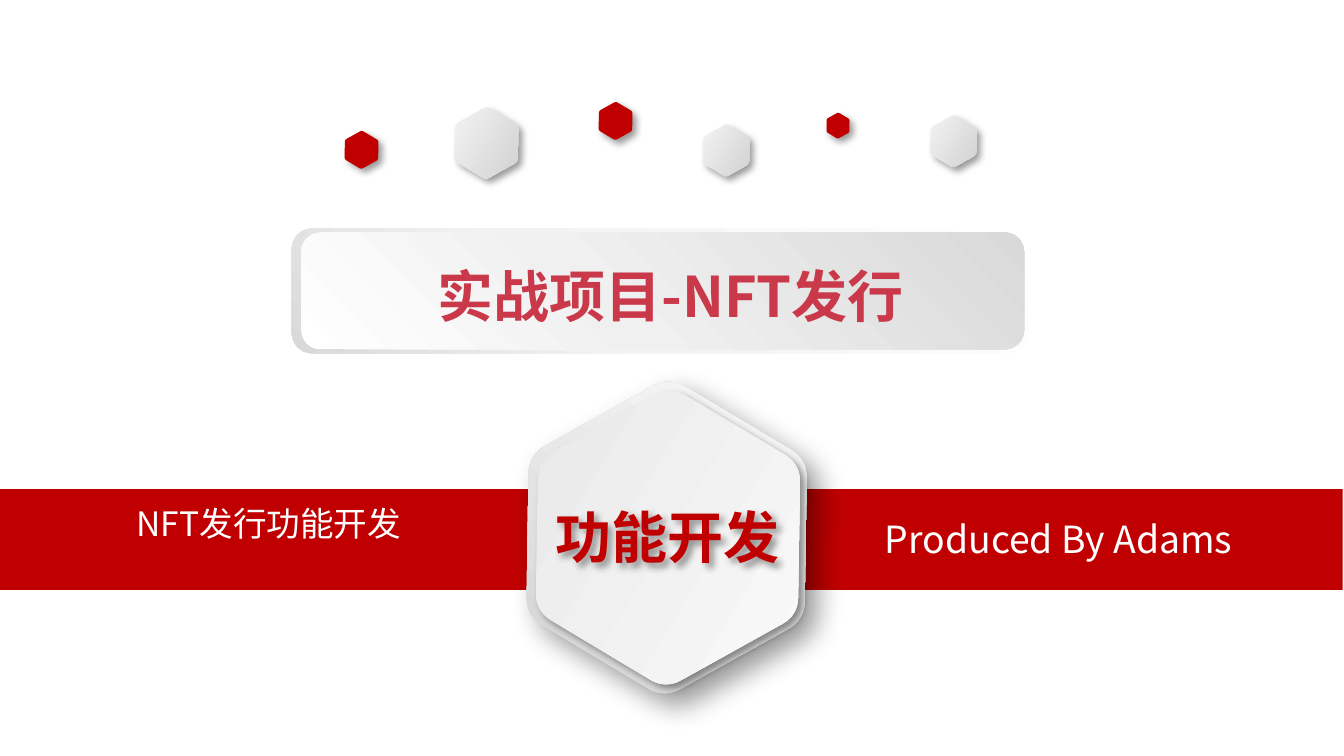
from math import cos, radians, sin
from lxml.etree import SubElement as Sub
from pptx import Presentation
from pptx.dml.color import RGBColor
from pptx.enum.shapes import MSO_SHAPE as Shape
from pptx.enum.text import MSO_ANCHOR as Anchor, PP_ALIGN as Align
from pptx.oxml.ns import qn
from pptx.util import Inches, Pt

WIDE = Inches(10)
HIGH = WIDE * 9 // 16
FONT = "Noto Sans CJK SC"
RED, WHITE, ROSE = "C00000", "FFFFFF", "C9394A"
SILVER = [(0, "F2F2F2"), (100, "D3D3D3")]
SOFT, DEEP = (4, 3), (15, 9)
TILT, CUT, STEPS = 0.9, 0.12, 8


def color(code):
    return RGBColor.from_string(code)


def place(left, top, width, height):
    return [int(WIDE * left / 100), int(HIGH * top / 100),
            int(WIDE * width / 100), int(HIGH * height / 100)]


def paint(shape, fill, angle=0):
    shape.shadow.inherit = False
    shape.line.fill.background()
    if fill is None:
        shape.fill.background()
    elif isinstance(fill, str):
        shape.fill.solid()
        shape.fill.fore_color.rgb = color(fill)
    else:
        shape.fill.gradient()
        grad = shape._element.spPr.find(qn("a:gradFill"))
        for child in list(grad):
            grad.remove(child)
        stops = Sub(grad, qn("a:gsLst"))
        for share, code in fill:
            stop = Sub(stops, qn("a:gs"), pos=str(share * 1000))
            Sub(stop, qn("a:srgbClr"), val=code)
        Sub(grad, qn("a:lin"), ang=str(angle * 60000), scaled="0")


def shade(shape, blur, gap):
    effects = shape._element.spPr.find(qn("a:effectLst"))
    cast = Sub(effects, qn("a:outerShdw"), blurRad=str(Pt(blur)),
               dist=str(Pt(gap)), dir=str(45 * 60000), algn="tl", rotWithShape="0")
    tint = Sub(cast, qn("a:srgbClr"), val="000000")
    Sub(tint, qn("a:alpha"), val="40000")


def blend(start, end, share):
    return tuple(a + (b - a) * share for a, b in zip(start, end))


def outline(mid, top, size):
    turns = [radians(60 * i - 90 + TILT) for i in range(6)]
    reach = size / 3 ** 0.5
    tips = [(mid + reach * cos(turn), top + reach * sin(turn)) for turn in turns]
    points = []
    for i, tip in enumerate(tips):
        enter = blend(tip, tips[i - 1], CUT)
        leave = blend(tip, tips[(i + 1) % 6], CUT)
        for step in range(STEPS + 1):
            share = step / STEPS
            points.append(blend(blend(enter, tip, share), blend(tip, leave, share), share))
    return points


def hexagon(slide, mid, top, size, fill, angle=0, cast=SOFT):
    points = outline(WIDE * mid / 100, HIGH * top / 100, WIDE * size / 100)
    maker = slide.shapes.build_freeform(*map(int, points[0]))
    maker.add_line_segments([(int(x), int(y)) for x, y in points[1:]], close=True)
    shape = maker.convert_to_shape()
    paint(shape, fill, angle)
    shade(shape, *cast)


def panel(slide, kind, box, fill, angle=0):
    shape = slide.shapes.add_shape(kind, *place(*box))
    paint(shape, fill, angle)
    return shape


def write(shape, text, size, code, align=Align.CENTER, bold=False):
    frame = shape.text_frame
    frame.word_wrap = True
    frame.text = text
    line = frame.paragraphs[0]
    line.alignment = align
    for run in line.runs:
        font = run.font
        font.name, font.size, font.bold = FONT, Pt(size), bold
        font.color.rgb = color(code)
        Sub(run._r.get_or_add_rPr(), qn("a:ea"), typeface=FONT)


def label(slide, box, *words, **style):
    write(slide.shapes.add_textbox(*place(*box)), *words, **style)


def main():
    deck = Presentation()
    deck.slide_width, deck.slide_height = WIDE, HIGH
    slide = deck.slides.add_slide(deck.slide_layouts[6])

    panel(slide, Shape.RECTANGLE, (-0.1, 64.71, 100, 13.33), RED)
    label(slide, (2.4, 65.6, 35.2, 7.11), "NFT发行功能开发", 18, WHITE)
    label(slide, (64.85, 67.38, 35, 7.82), "Produced By Adams", 20, WHITE, align=Align.LEFT)

    for mid, top, size, fill in [
        (36.2, 18.93, 4.7, SILVER), (45.8, 16, 2.5, RED), (26.9, 19.82, 2.5, RED),
        (54.05, 19.91, 3.4, SILVER), (62.35, 16.62, 1.7, RED), (70.95, 18.7, 3.4, SILVER),
    ]:
        hexagon(slide, mid, top, size, fill, 31)

    hexagon(slide, 49.6, 71.11, 20.7, [(0, "D3D3D3"), (100, "F9F9F9")], 301, DEEP)
    hexagon(slide, 49.7, 71.11, 19.5, [(0, "E9E9E9"), (100, "F9F9F9")], 31)

    panel(slide, Shape.ROUNDED_RECTANGLE, (21.7, 30.22, 54.8, 16.53),
          [(0, WHITE), (62, "F2F2F2"), (100, "D9D9D9")], 135)
    panel(slide, Shape.ROUNDED_RECTANGLE, (22.4, 30.76, 53.8, 15.47),
          [(0, WHITE), (42, "F0F0F0"), (100, "D9D9D9")], 315)
    label(slide, (22.5, 33.78, 54.8, 10.67), "实战项目-NFT发行", 30, ROSE, bold=True)

    badge = panel(slide, Shape.ROUNDED_RECTANGLE, (39.85, 66.49, 19.7, 8.89), None)
    shade(badge, *SOFT)
    badge.text_frame.vertical_anchor = Anchor.MIDDLE
    write(badge, "功能开发", 30, RED, bold=True)

    deck.save("out.pptx")


if __name__ == "__main__":
    main()
